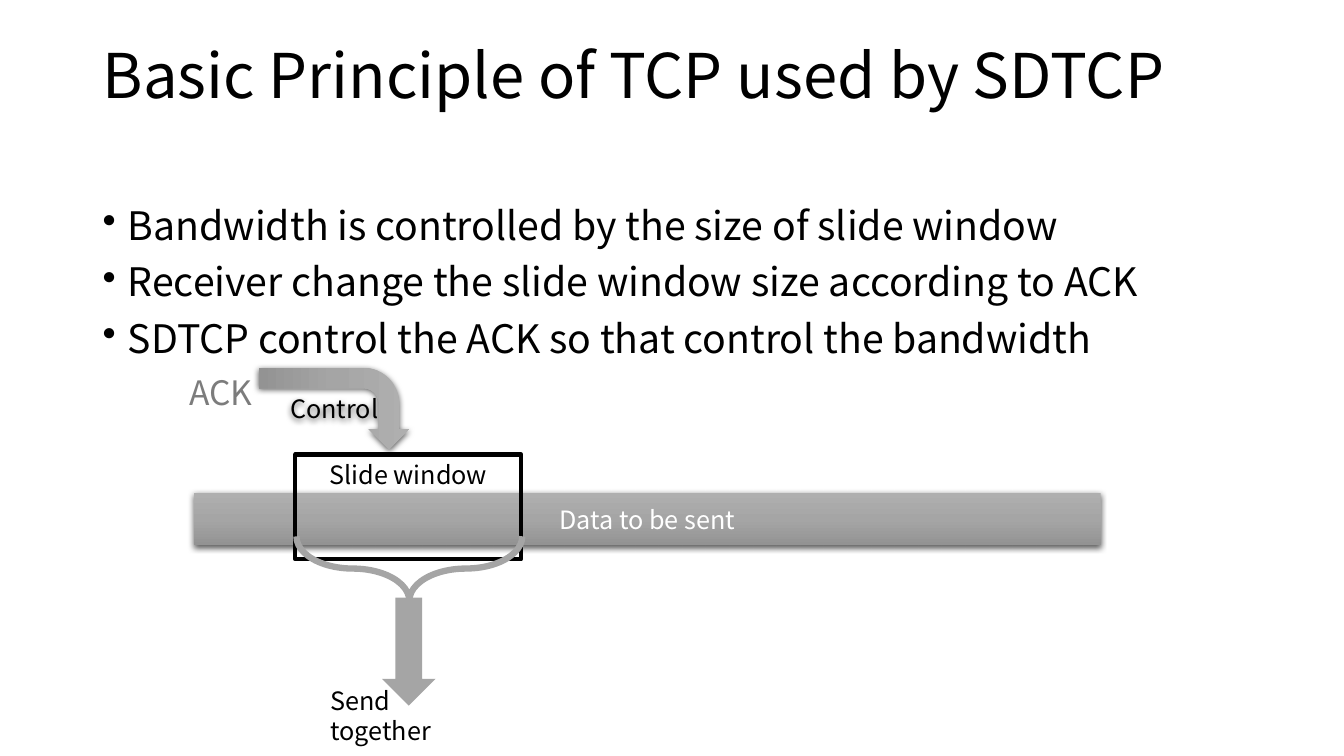
"""Build the slide on how SDTCP uses the sliding window of TCP."""
import copy

import pptx
import pptx.dml.color
import pptx.enum.shapes
import pptx.enum.text
import pptx.oxml
import pptx.oxml.ns
import pptx.util

RGBColor = pptx.dml.color.RGBColor
BLACK = RGBColor(0x00, 0x00, 0x00)
WHITE = RGBColor(0xFF, 0xFF, 0xFF)
GRAY = RGBColor(0xA5, 0xA5, 0xA5)
LIGHT_GRAY = RGBColor(0xAF, 0xAF, 0xAF)
DARK_GRAY = RGBColor(0x93, 0x93, 0x93)
TEXT_GRAY = RGBColor(0x7C, 0x7C, 0x7C)

FONT = "Noto Sans CJK SC"
WIDTH = pptx.util.Inches(13.33)
HEIGHT = pptx.util.Inches(7.5)
SHAPES = pptx.enum.shapes.MSO_SHAPE
ANCHOR = pptx.enum.text.MSO_ANCHOR
ALIGN = pptx.enum.text.PP_ALIGN
NAMESPACE = pptx.oxml.ns.nsdecls("a")

BULLETS = (
    "Bandwidth is controlled by the size of slide window",
    "Receiver change the slide window size according to ACK",
    "SDTCP control the ACK so that control the bandwidth",
)


def place(left, top, width, height):
    """Turn percentages of the slide's size into lengths."""
    return (
        round(WIDTH * left / 100),
        round(HEIGHT * top / 100),
        round(WIDTH * width / 100),
        round(HEIGHT * height / 100),
    )


def add_bullet(paragraph):
    """Give a paragraph a round bullet with a hanging indent."""
    properties = paragraph._p.get_or_add_pPr()
    indent = pptx.util.Inches(0.25)
    properties.set("marL", str(indent))
    properties.set("indent", str(-indent))
    properties.append(pptx.oxml.parse_xml(f'<a:buChar {NAMESPACE} char="•"/>'))


def write_text(shape, *lines, size=18, color=BLACK, align=ALIGN.LEFT,
               anchor=ANCHOR.TOP, spacing=1.0, before=0, bullet=False):
    """Write one paragraph per line into a shape."""
    frame = shape.text_frame
    frame.word_wrap = True
    frame.vertical_anchor = anchor
    for index, line in enumerate(lines):
        paragraph = frame.add_paragraph() if index else frame.paragraphs[0]
        paragraph.alignment = align
        paragraph.line_spacing = spacing
        paragraph.space_before = pptx.util.Pt(before if index else 0)
        if bullet:
            add_bullet(paragraph)
        run = paragraph.add_run()
        run.text = line
        run.font.name = FONT
        run.font.size = pptx.util.Pt(size)
        run.font.color.rgb = color


def add_label(slide, area, *lines, **text_format):
    """Add a text box with formatted text."""
    box = slide.shapes.add_textbox(*place(*area))
    write_text(box, *lines, **text_format)


def add_figure(slide, kind, area, fill=None, line=None, line_width=0, rotation=0):
    """Add a preset shape with a plain fill and outline."""
    shape = slide.shapes.add_shape(kind, *place(*area))
    shape.rotation = rotation
    shape.shadow.inherit = False
    if fill is None:
        shape.fill.background()
    else:
        shape.fill.solid()
        shape.fill.fore_color.rgb = fill
    if line is None:
        shape.line.fill.background()
    else:
        shape.line.color.rgb = line
        shape.line.width = pptx.util.Pt(line_width)
    return shape


def add_raised_figure(slide, kind, area, rotation=0):
    """Add a preset shape with a gray gradient and a soft shadow."""
    shape = add_figure(slide, kind, area, rotation=rotation)
    shape.fill.gradient()
    shape.fill.gradient_angle = 270
    properties = shape._element.spPr
    stops = properties.find(".//" + pptx.oxml.ns.qn("a:gsLst"))
    stops.insert(1, copy.deepcopy(stops[0]))
    colors = (LIGHT_GRAY, GRAY, DARK_GRAY)
    for index, (stop, color) in enumerate(zip(shape.fill.gradient_stops, colors)):
        stop.position = index / 2
        stop.color.rgb = color
    effects = properties.find(pptx.oxml.ns.qn("a:effectLst"))
    effects.append(pptx.oxml.parse_xml(
        f'<a:outerShdw {NAMESPACE} blurRad="{pptx.util.Pt(4.5)}" '
        f'dist="{pptx.util.Pt(1.5)}" dir="5400000" algn="ctr" rotWithShape="0">'
        '<a:srgbClr val="000000"><a:alpha val="63000"/></a:srgbClr></a:outerShdw>'
    ))
    return shape


def add_window_diagram(slide):
    """Draw the data bar, the window over it and the arrows around it."""
    data = add_raised_figure(slide, SHAPES.RECTANGLE, (14.4, 65.2, 67.5, 6.93))
    write_text(data, "Data to be sent", color=WHITE, align=ALIGN.CENTER,
               anchor=ANCHOR.MIDDLE)
    window = add_figure(slide, SHAPES.RECTANGLE, (21.98, 60.13, 16.8, 13.87),
                        line=BLACK, line_width=3)
    write_text(window, "Slide window", align=ALIGN.CENTER)
    brace = add_figure(slide, SHAPES.LEFT_BRACE, (28.06, 60.27, 4.8, 29.87),
                       line=GRAY, line_width=4.5, rotation=270)
    brace.adjustments[0] = 0.88
    add_figure(slide, SHAPES.DOWN_ARROW, (28.43, 79.07, 3.98, 14.27), fill=GRAY)
    add_label(slide, (23.86, 90, 13.13, 5.33), "Send together")
    add_label(slide, (13.35, 48.53, 7.43, 6.67), "ACK", size=24, color=TEXT_GRAY)
    control = add_raised_figure(slide, SHAPES.BENT_ARROW, (21.83, 44.13, 6.08, 19.87),
                                rotation=90)
    write_text(control, "Control", align=ALIGN.CENTER, anchor=ANCHOR.MIDDLE)
    control.text_frame._txBody.bodyPr.set("vert", "vert270")


def main():
    """Build and save the presentation."""
    presentation = pptx.Presentation()
    presentation.slide_width = WIDTH
    presentation.slide_height = HEIGHT
    slide = presentation.slides.add_slide(presentation.slide_layouts[6])
    add_label(slide, (6.9, 5.33, 86.25, 19.33),
              "Basic Principle of TCP used by SDTCP", size=44, spacing=0.9)
    add_label(slide, (6.9, 26.67, 86.25, 63.47), *BULLETS,
              size=28, spacing=0.9, before=10, bullet=True)
    add_window_diagram(slide)
    presentation.save("out.pptx")


if __name__ == "__main__":
    main()
